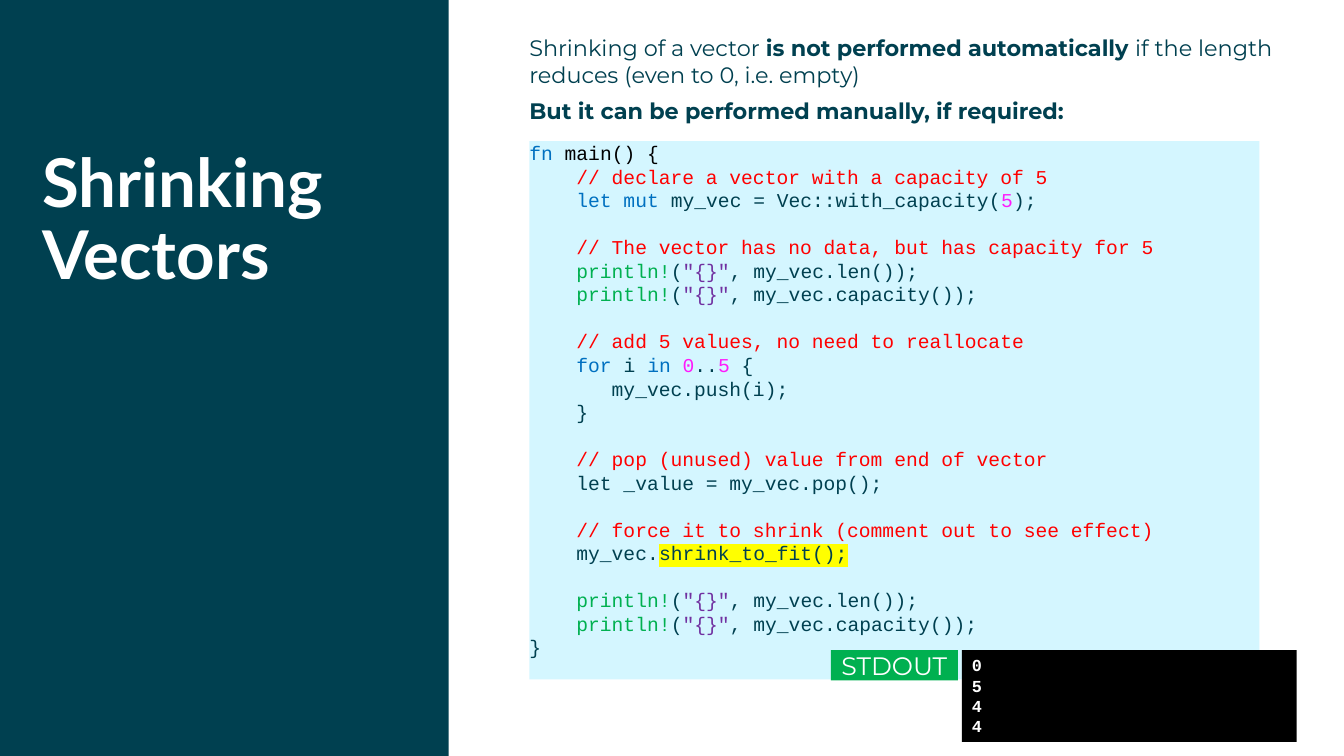
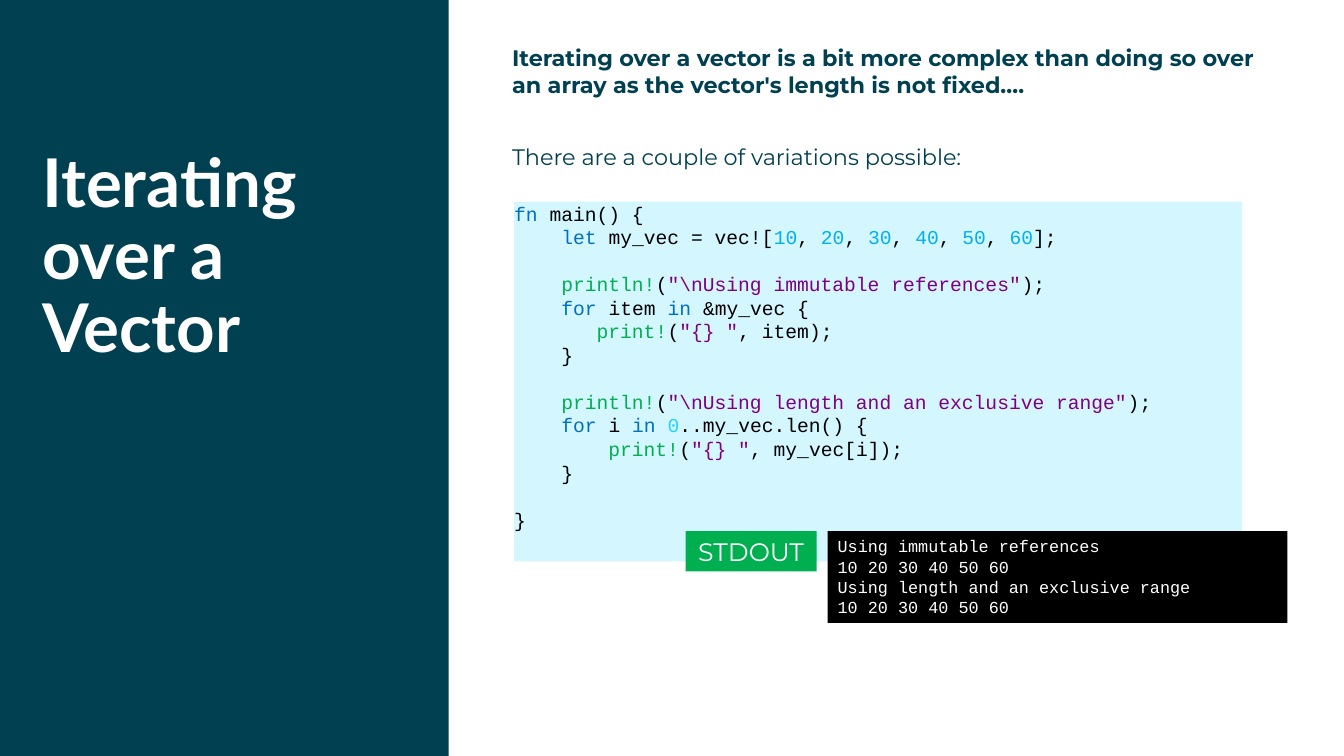
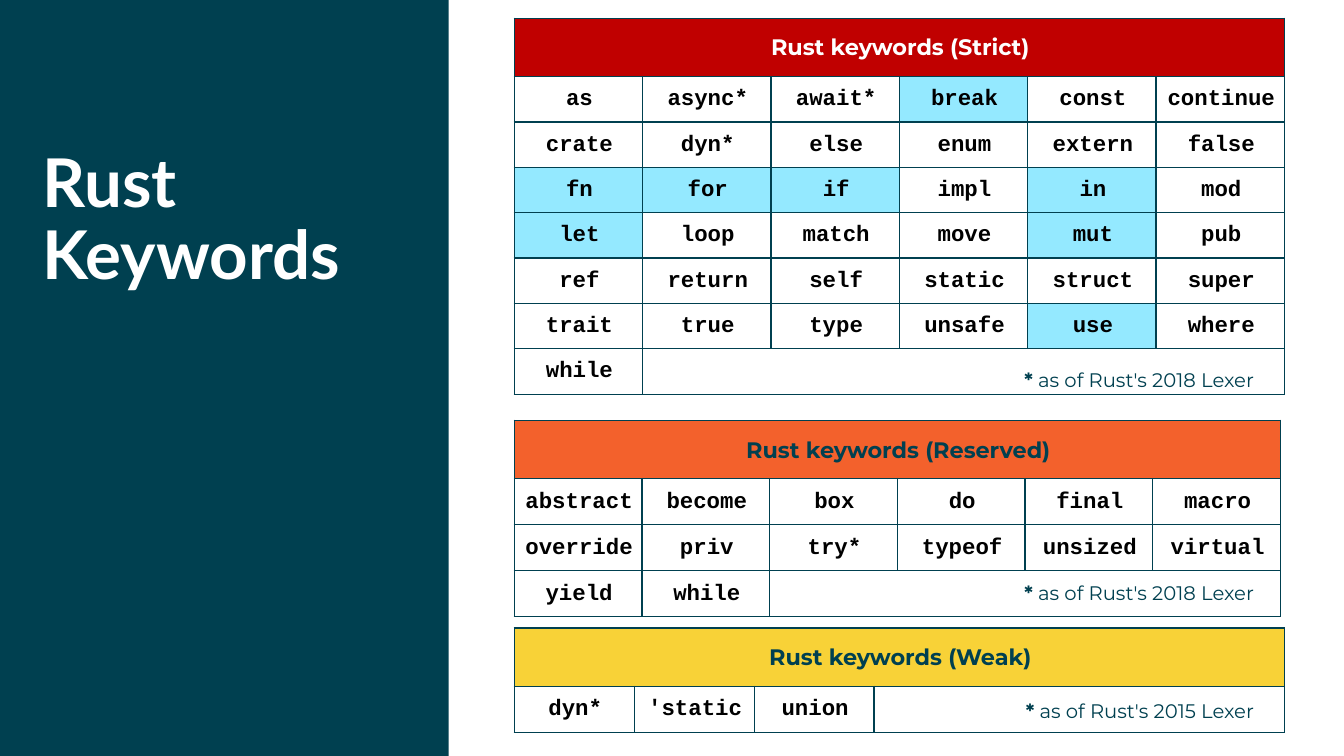
from dataclasses import dataclass
from typing import NamedTuple, Optional

from lxml import etree
from pptx import Presentation
from pptx import util as u
from pptx.dml.color import RGBColor
from pptx.enum import shapes, text
from pptx.oxml import ns

TEAL, WHITE, BLACK, GREEN, PALE = "004050", "FFFFFF", "000000", "00B050", "D4F6FF"
SANS, MONO, HEAD = "Montserrat", "Courier New", "Lato"
LEFT, MID = text.PP_ALIGN.LEFT, text.PP_ALIGN.CENTER
RIGHT = text.PP_ALIGN.RIGHT


class Look(NamedTuple):
    color: str
    bold: bool = False
    mark: str = ""


# Markup: "~" and a letter start a run in the look of that letter
LOOKS = {
    "t": Look(TEAL), "T": Look(TEAL, True), "y": Look(TEAL, mark="FFFF00"),
    "d": Look(BLACK), "D": Look(BLACK, True),
    "w": Look(WHITE), "W": Look(WHITE, True),
    "k": Look("0070C0"), "c": Look("FF0000"), "m": Look(GREEN),
    "s": Look("7030A0"), "q": Look("7F007D"),
    "n": Look("FF19FB"), "b": Look("00B0F0"), "z": Look("20D3FF"),
}


class Box(NamedTuple):
    x: float
    y: float
    w: float
    h: float

    def emu(self) -> list:
        return [u.Inches(side) for side in self]


@dataclass
class Block:
    box: Box
    words: str
    font: str = SANS
    size: float = 16
    fill: Optional[str] = None
    align: text.PP_ALIGN = LEFT
    pad: tuple = (0, 0, 0, 0)
    mid: bool = False
    after: float = 0
    gap: float = 0  # space before the last paragraph


@dataclass
class Grid:
    box: Box
    head: str
    look: str
    fill: str
    words: list
    cols: list
    note: str
    base: float  # top of the note


def rgb(code: str) -> RGBColor:
    return RGBColor.from_string(code)


def put(par, line: str, font: str, size: float) -> None:
    """Add the runs of one marked-up line."""
    for part in line.split("~")[1:]:
        look = LOOKS[part[0]]
        run = par.add_run()
        run.text = part[1:]
        face = run.font
        face.name, face.size, face.bold = font, u.Pt(size), look.bold
        face.color.rgb = rgb(look.color)
        if look.mark:
            mark = etree.Element(ns.qn("a:highlight"))
            etree.SubElement(mark, ns.qn("a:srgbClr"), val=look.mark)
            run._r.rPr.find(ns.qn("a:solidFill")).addnext(mark)
    if not line:  # an empty line of code keeps the height of its font
        end = etree.SubElement(par._p, ns.qn("a:endParaRPr"), sz=str(size * 100))
        etree.SubElement(end, ns.qn("a:latin"), typeface=font)


def inset(frame, pad: tuple) -> None:
    (frame.margin_left, frame.margin_top,
     frame.margin_right, frame.margin_bottom) = [u.Inches(p) for p in pad]


def rect(slide, box: Box, fill: str):
    shape = slide.shapes.add_shape(shapes.MSO_SHAPE.RECTANGLE, *box.emu())
    shape.shadow.inherit = False
    shape.fill.solid()
    shape.fill.fore_color.rgb = rgb(fill)
    shape.line.fill.background()
    return shape


def draw(slide, block: Block) -> None:
    if block.fill:
        shape = rect(slide, block.box, block.fill)
    else:
        shape = slide.shapes.add_textbox(*block.box.emu())
    frame = shape.text_frame
    frame.word_wrap = True
    inset(frame, block.pad)
    anchor = text.MSO_ANCHOR
    frame.vertical_anchor = anchor.MIDDLE if block.mid else anchor.TOP
    lines = block.words.strip().splitlines()
    for i, line in enumerate(lines):
        par = frame.add_paragraph() if i else frame.paragraphs[0]
        par.alignment = block.align
        par.space_after = u.Pt(block.after)
        if block.gap and i == len(lines) - 1:
            par.space_before = u.Pt(block.gap)
        put(par, line, block.font, block.size)


def prose(box: Box, words: str, gap: float = 0) -> Block:
    return Block(box, words, after=6.5, gap=gap)


def code(box: Box, words: str) -> Block:
    return Block(box, words, MONO, 14, PALE)


def shell(box: Box, words: str) -> Block:
    return Block(box, words, MONO, 12, BLACK, pad=(0.1, 0.05, 0.1, 0.05))


def label(box: Box) -> Block:
    return Block(box, "~wSTDOUT", size=18, fill=GREEN, align=MID,
                 pad=(0.1, 0, 0.1, 0), mid=True)


def start(deck, name: str):
    """Add a slide with the side band and its title."""
    slide = deck.slides.add_slide(deck.slide_layouts[5])
    title = slide.shapes.title
    band = rect(slide, Box(0, 0, 4.45, 7.5), TEAL)
    title.element.addprevious(band.element)
    title.left, title.top, title.width, title.height = Box(0.42, 1.48, 3.77, 3.01).emu()
    frame = title.text_frame
    frame.word_wrap, frame.auto_size = True, text.MSO_AUTO_SIZE.NONE
    frame.vertical_anchor = text.MSO_ANCHOR.TOP
    inset(frame, (0, 0, 0, 0))
    par = frame.paragraphs[0]
    par.alignment, par.line_spacing = LEFT, 0.9
    put(par, "~W" + name, HEAD, 48)
    return slide


# Keyword tables
USED = {"break", "fn", "for", "if", "in", "let", "mut", "use"}


def edge(cell, sides: str) -> None:
    """Rule the named sides of a cell and clear the others."""
    props = cell._tc.get_or_add_tcPr()
    for i, side in enumerate("LRTB"):
        line = etree.Element(ns.qn("a:ln" + side), w=str(u.Pt(1)))
        if side in sides:
            paint = etree.SubElement(line, ns.qn("a:solidFill"))
            etree.SubElement(paint, ns.qn("a:srgbClr"), val=TEAL)
        else:
            etree.SubElement(line, ns.qn("a:noFill"))
        props.insert(i, line)


def style(cell, line: str, font: str, pad: tuple, fill: str = "") -> None:
    inset(cell, pad)
    cell.vertical_anchor = text.MSO_ANCHOR.MIDDLE
    par = cell.text_frame.paragraphs[0]
    par.alignment = MID
    put(par, line, font, 16)
    if fill:
        cell.fill.solid()
        cell.fill.fore_color.rgb = rgb(fill)
    else:
        cell.fill.background()


def table(slide, grid: Grid) -> None:
    wide, rows = len(grid.cols), len(grid.words) + 1
    tab = slide.shapes.add_table(rows, wide, *grid.box.emu()).table
    tab.first_row = tab.horz_banding = False
    for col, width in zip(tab.columns, grid.cols):
        col.width = u.Inches(width)
    for i, row in enumerate(tab.rows):
        row.height = u.Inches(0.45 if i else 0.57)
    top = tab.cell(0, 0)
    top.merge(tab.cell(0, wide - 1))
    style(top, f"~{grid.look}{grid.head}", SANS, (0.1, 0.16, 0.08, 0.15), grid.fill)
    for c in range(wide):
        edge(tab.cell(0, c), "LRTB")
    for r, line in enumerate(grid.words, 1):
        words = line.split()
        for c in range(wide):
            cell = tab.cell(r, c)
            word = words[c] if c < len(words) else ""
            tint = "94E9FF" if word in USED else ""
            style(cell, "~D" + word if word else "", MONO, (0.1, 0.1, 0.08, 0.09), tint)
            # Unused cells at the end of a row read as one cell
            left = "L" if c <= len(words) else ""
            right = "R" if word or c == wide - 1 else ""
            edge(cell, "TB" + left + right)
    draw(slide, Block(Box(9.94, grid.base, 2.5, 0.24), "~T*~t " + grid.note,
                      size=14, align=RIGHT))


SHRINK = r"""
~kfn ~dmain() {
~c    // declare a vector with a capacity of 5
~k    let mut ~tmy_vec = Vec::with_capacity(~n5~t);

~c    // The vector has no data, but has capacity for 5
~m    println!~t(~s"{}"~t, my_vec.len());
~m    println!~t(~s"{}"~t, my_vec.capacity());

~c    // add 5 values, no need to reallocate
~k    for ~ti ~kin ~n0~t..~n5~t {
~t       my_vec.push(i);
~t    }

~c    // pop (unused) value from end of vector
~t    let _value = my_vec.pop();

~c    // force it to shrink (comment out to see effect)
~t    my_vec.~yshrink_to_fit();

~m    println!~t(~s"{}"~t, my_vec.len());
~m    println!~t(~s"{}"~t, my_vec.capacity());
~t}
"""

LOOP = r"""
~kfn~d main() {
~k    let ~dmy_vec = vec![~b10~d, ~b20~d, ~b30~d, ~b40~d, ~b50~d,~b 60~d];

~m    println!~d(~q"\nUsing immutable references"~d);
~k    for ~ditem ~kin ~d&my_vec {
~m       print!~d(~q"{} "~d, item);
~d    }

~m    println!~d(~q"\nUsing length and an exclusive range"~d);
~k    for ~di~k in ~z0~d..my_vec.len() {
~m        print!~d(~q"{} "~d, my_vec[i]);
~d    }

~d}
"""

OUT = """
~wUsing immutable references
~w10 20 30 40 50 60
~wUsing length and an exclusive range
~w10 20 30 40 50 60
"""

INTRO = """
~tShrinking of a vector ~Tis not performed automatically ~tif the length reduces (even to 0, i.e. empty)
~TBut it can be performed manually, if required:
"""

HINT = """
~TIterating over a vector is a bit more complex than doing so over an array as the vector's length is not fixed….
~tThere are a couple of variations possible:
"""

PAGES = {
    "Shrinking Vectors": [
        prose(Box(5.25, 0.34, 7.41, 1.55), INTRO),
        code(Box(5.25, 1.4, 7.24, 5.34), SHRINK),
        shell(Box(9.54, 6.45, 3.32, 0.91), "~W0\n~W5\n~W4\n~W4"),
        label(Box(8.24, 6.45, 1.26, 0.3)),
    ],
    "Iterating over a Vector": [
        prose(Box(5.08, 0.44, 7.69, 4.48), HINT, gap=26),
        code(Box(5.1, 2, 7.22, 3.57), LOOP),
        label(Box(6.8, 5.27, 1.3, 0.4)),
        shell(Box(8.21, 5.27, 4.56, 0.91), OUT),
    ],
}

GRIDS = [
    Grid(Box(5.1, 0.18, 7.64, 3.72), "Rust keywords (Strict)", "W", "C00000", [
        "as async* await* break const continue",
        "crate dyn* else enum extern false",
        "fn for if impl in mod",
        "let loop match move mut pub",
        "ref return self static struct super",
        "trait true type unsafe use where",
        "while",
    ], [7.64 / 6] * 6, "as of Rust's 2018 Lexer", 3.65),
    Grid(Box(5.1, 4.17, 7.6, 1.92), "Rust keywords (Reserved)", "T", "F3612C", [
        "abstract become box do final macro",
        "override priv try* typeof unsized virtual",
        "yield while",
    ], [7.6 / 6] * 6, "as of Rust's 2018 Lexer", 5.76),
    Grid(Box(5.1, 6.23, 7.64, 1.02), "Rust keywords (Weak)", "T", "F8D237", [
        "dyn* 'static union",
    ], [1.19] * 5 + [7.64 - 5 * 1.19], "as of Rust's 2015 Lexer", 6.93),
]


def main() -> None:
    deck = Presentation()
    deck.slide_width, deck.slide_height = u.Inches(13.33), u.Inches(7.5)
    for name, blocks in PAGES.items():
        slide = start(deck, name)
        for block in blocks:
            draw(slide, block)
    slide = start(deck, "Rust Keywords")
    for grid in GRIDS:
        table(slide, grid)
    deck.save("out.pptx")


if __name__ == "__main__":
    main()
